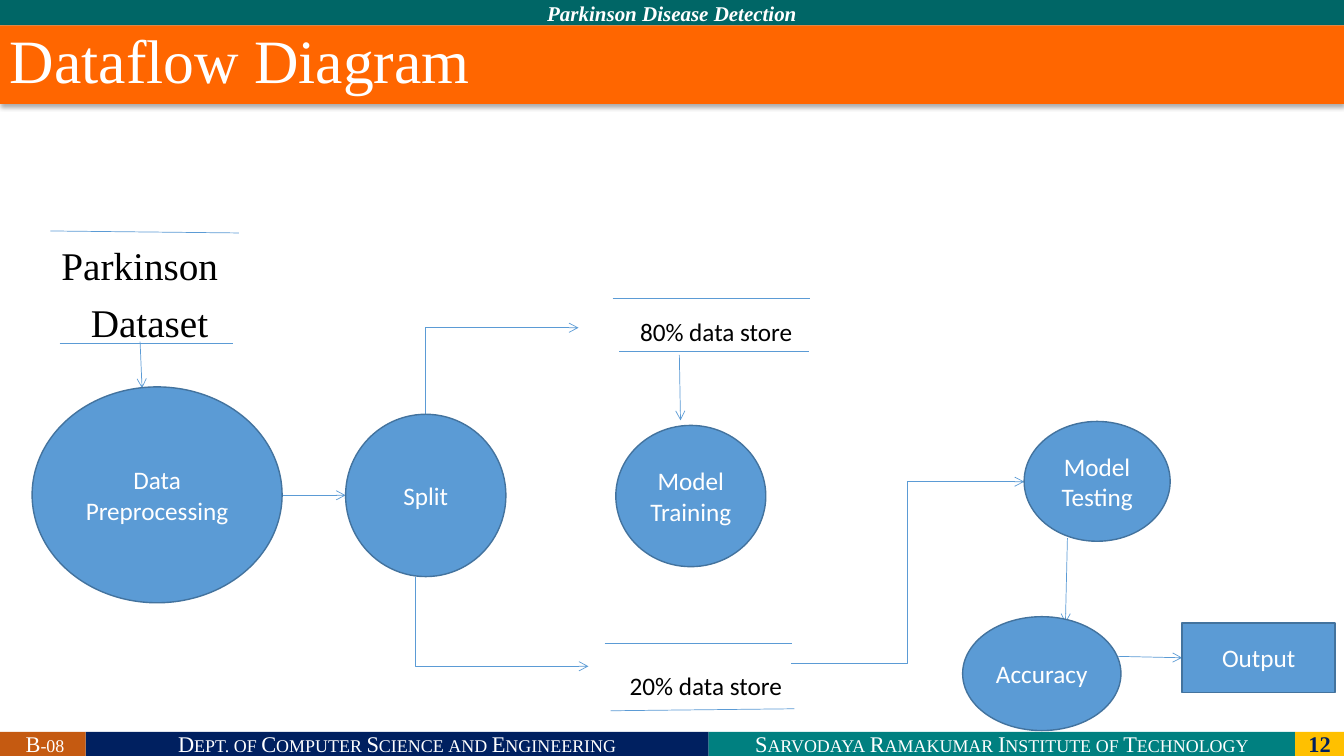
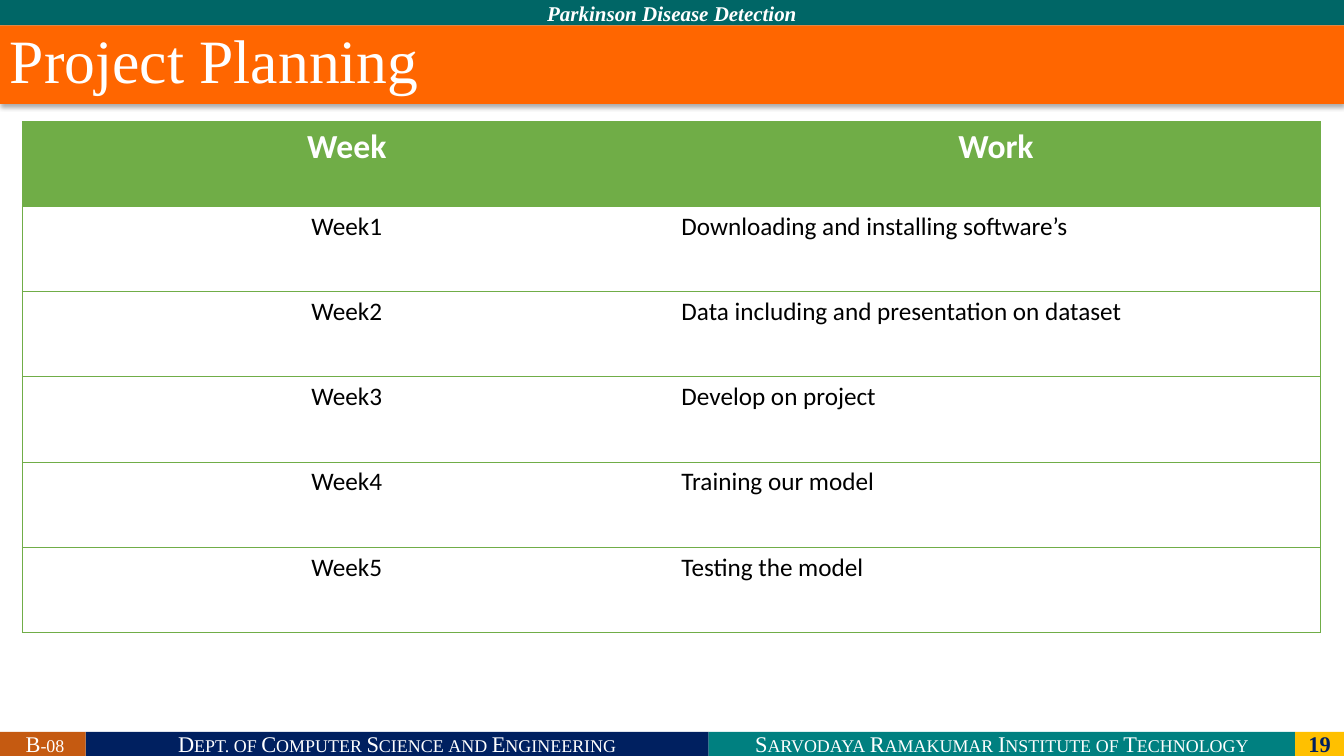
from pptx import Presentation
from pptx.dml.color import RGBColor
from pptx.enum.shapes import MSO_CONNECTOR as CONNECTOR, MSO_SHAPE as SHAPE
from pptx.enum.text import MSO_ANCHOR as ANCHOR, PP_ALIGN as ALIGN
from pptx.oxml import parse_xml
from pptx.oxml.ns import nsdecls, qn
from pptx.util import Cm, Pt
from lxml.etree import SubElement

WHITE = RGBColor(0xFF, 0xFF, 0xFF)
BLACK = RGBColor(0, 0, 0)
NAVY = RGBColor(0x00, 0x20, 0x60)
TEAL = RGBColor(0x00, 0x80, 0x80)
DARK_TEAL = RGBColor(0x00, 0x66, 0x66)
GOLD = RGBColor(0xFF, 0xC0, 0x00)
RUST = RGBColor(0xC5, 0x5A, 0x11)
ORANGE = RGBColor(0xFF, 0x66, 0x00)
BLUE = RGBColor(0x5B, 0x9B, 0xD5)
BLUE_EDGE = RGBColor(0x43, 0x73, 0x9E)
GREEN = RGBColor(0x70, 0xAD, 0x47)
SERIF, SANS = "Times New Roman", "Calibri"
WIDTH, HEIGHT = 33.87, 19.05
FOOTER_TOP = 18.44

presentation = Presentation()
presentation.slide_width = Cm(WIDTH)
presentation.slide_height = Cm(HEIGHT)


def add_box(slide, kind, box, text, fill, size, font_name, color=WHITE, edge=None):
    """Add a filled shape with one centred paragraph; box is in centimetres."""
    shape = slide.shapes.add_shape(kind, *map(Cm, box))
    shape.shadow.inherit = False
    shape.fill.solid()
    shape.fill.fore_color.rgb = fill
    if edge:
        shape.line.color.rgb = edge
        shape.line.width = Pt(1)
    else:
        shape.line.fill.background()
    shape.text_frame.vertical_anchor = ANCHOR.MIDDLE
    paragraph = shape.text_frame.paragraphs[0]
    paragraph.text = text
    paragraph.alignment = ALIGN.CENTER
    font = paragraph.font
    font.name, font.size, font.color.rgb = font_name, Pt(size), color
    return shape


def add_line(slide, start, end, arrow=False, bend=None):
    """Add a thin line; bend is where an elbow turns, as a share of its width."""
    kind = CONNECTOR.STRAIGHT if bend is None else CONNECTOR.ELBOW
    connector = slide.shapes.add_connector(kind, *map(Cm, start + end))
    connector.line.color.rgb = BLUE
    connector.line.width = Pt(0.5)
    properties = connector._element.spPr
    if arrow:
        SubElement(connector.line._get_or_add_ln(), qn("a:tailEnd"), type="arrow")
    if bend is not None:
        guides = properties.find(qn("a:prstGeom")).get_or_add_avLst()
        SubElement(guides, qn("a:gd"), name="adj1", fmla=f"val {int(bend * 100000)}")
    SubElement(properties, qn("a:effectLst"))
    return connector


# Shared bands, footers and titles
FOOTERS = [  # left, right, text, fill
    (2.16, 17.86, "Dept. of Computer Science and Engineering", NAVY),
    (17.86, 32.64, "Sarvodaya Ramakumar Institute of Technology", TEAL),
    (0, 2.16, " B-08", RUST),
]
slides = []
for title, number in [("Dataflow Diagram", "12"), ("Project Planning", "19")]:
    slide = presentation.slides.add_slide(presentation.slide_layouts[6])
    slides.append(slide)
    for left, right, text, fill in FOOTERS:
        footer = add_box(slide, SHAPE.RECTANGLE,
                         (left, FOOTER_TOP, right - left, HEIGHT - FOOTER_TOP),
                         text, fill, 16, SERIF)
        footer.text_frame.paragraphs[0].font._rPr.set("cap", "small")
    page = add_box(slide, SHAPE.RECTANGLE,
                   (32.64, FOOTER_TOP, WIDTH - 32.64, HEIGHT - FOOTER_TOP),
                   number, GOLD, 16, SERIF, NAVY)
    page.text_frame.paragraphs[0].font.bold = True

    header = add_box(slide, SHAPE.RECTANGLE, (0, 0, WIDTH, 0.64),
                     "Parkinson Disease Detection", DARK_TEAL, 15, SERIF)
    header_font = header.text_frame.paragraphs[0].font
    header_font.bold = header_font.italic = True

    title_bar = add_box(slide, SHAPE.RECTANGLE, (0, 0.64, WIDTH, 1.98),
                        title, ORANGE, 44, SERIF)
    title_bar.text_frame.vertical_anchor = ANCHOR.TOP
    paragraph = title_bar.text_frame.paragraphs[0]
    paragraph.alignment = ALIGN.LEFT
    paragraph.line_spacing = 0.9
    title_bar._element.spPr.find(qn("a:effectLst")).append(parse_xml(
        f'<a:outerShdw {nsdecls("a")} blurRad="{Pt(3.5)}" dist="{Pt(2.2)}" '
        'dir="5400000" algn="t" rotWithShape="0"><a:srgbClr val="000000">'
        '<a:alpha val="32000"/></a:srgbClr></a:outerShdw>'))

dataflow, planning = slides

# Dataflow: data stores
dataset = dataflow.shapes.add_textbox(Cm(0.56), Cm(6.1), Cm(6), Cm(2.8))
dataset.text_frame.word_wrap = True
dataset.text_frame.text = "Parkinson\nDataset"
for paragraph, indent in zip(dataset.text_frame.paragraphs, (0.74, 1.48)):
    paragraph._p.get_or_add_pPr().set("marL", str(Cm(indent)))
    paragraph.line_spacing = 0.9
    font = paragraph.font
    font.name, font.size, font.color.rgb = SERIF, Pt(28), BLACK
dataset.text_frame.paragraphs[1].space_before = Pt(10)

for text, left, top in [("80% data store", 15.88, 7.85), ("20% data store", 15.62, 16.76)]:
    store = dataflow.shapes.add_textbox(Cm(left), Cm(top), Cm(4.77), Cm(1.02))
    store.text_frame.word_wrap = True
    paragraph = store.text_frame.paragraphs[0]
    paragraph.text = text
    font = paragraph.font
    font.name, font.size, font.color.rgb = SANS, Pt(18), BLACK

STORE_RULES = [
    ((1.27, 5.82), (6.02, 5.87)), ((1.5, 8.66), (5.87, 8.66)),
    ((15.44, 7.52), (20.42, 7.52)), ((15.6, 8.86), (20.4, 8.86)),
    ((15.24, 16.2), (19.96, 16.2)), ((15.39, 17.91), (20.02, 17.86)),
]
for start, end in STORE_RULES:
    add_line(dataflow, start, end)

# Dataflow: arrows
ARROWS = [  # start, end, bend
    ((3.53, 8.61), (3.58, 9.78), None),
    ((7.11, 12.48), (8.71, 12.48), None),
    ((10.72, 10.44), (14.58, 8.26), 0),
    ((10.46, 14.53), (14.83, 16.79), 0),
    ((17.12, 8.94), (17.15, 10.59), None),
    ((19.94, 16.71), (25.81, 12.14), 0.5),
    ((26.9, 13.56), (26.85, 15.7), None),
]
for start, end, bend in ARROWS:
    add_line(dataflow, start, end, True, bend)
output_arrow = add_line(dataflow, (26.85, 16.51), (29.79, 16.58), True)

# Dataflow: processes
PROCESSES = [
    ("Data Preprocessing", (0.81, 9.75, 6.3, 5.44)),
    ("Split", (8.71, 10.44, 4.04, 4.09)),
    ("Model Training", (15.52, 10.72, 3.78, 3.56)),
    ("Model Testing", (25.81, 10.62, 3.68, 3.02)),
    ("Accuracy", (24.26, 15.54, 3.99, 2.87)),
]
for text, box in PROCESSES:
    add_box(dataflow, SHAPE.OVAL, box, text, BLUE, 18, SANS, edge=BLUE_EDGE)
output = add_box(dataflow, SHAPE.RECTANGLE, (29.79, 15.7, 3.86, 1.75),
                 "Output", BLUE, 18, SANS, edge=BLUE_EDGE)
output_arrow.end_connect(output, 1)

# Planning: table
ROWS = [
    ("Week", "Work"),
    ("Week1", "Downloading and installing software’s"),
    ("Week2", "Data including and presentation on dataset"),
    ("Week3", "Develop on project"),
    ("Week4", "Training our model"),
    ("Week5", "Testing the model"),
]
table = planning.shapes.add_table(len(ROWS), 2, Cm(0.56), Cm(3.06),
                                  Cm(32.72), Cm(2.145 * len(ROWS))).table
NO_STYLE = "{2D5ABB26-0587-4C30-8999-92F81FD0307C}"
table._tbl.tblPr.find(qn("a:tableStyleId")).text = NO_STYLE
table.horz_banding = False
for row, texts in enumerate(ROWS):
    for column, text in enumerate(texts):
        is_header = row == 0
        cell = table.cell(row, column)
        for edge in ("lnL" if column == 0 else "lnR", "lnT", "lnB"):
            cell._tc.get_or_add_tcPr().append(parse_xml(
                f'<a:{edge} {nsdecls("a")} w="{Pt(0.5)}"><a:solidFill>'
                f'<a:srgbClr val="{GREEN}"/></a:solidFill></a:{edge}>'))
        if is_header:
            cell.fill.solid()
            cell.fill.fore_color.rgb = GREEN
        else:
            cell.fill.background()
        paragraph = cell.text_frame.paragraphs[0]
        paragraph.text = text
        paragraph.alignment = ALIGN.CENTER if is_header or column == 0 else ALIGN.LEFT
        font = paragraph.font
        font.name, font.size = SANS, Pt(24 if is_header else 18)
        font.bold = is_header
        font.color.rgb = WHITE if is_header else BLACK

presentation.save("out.pptx")
